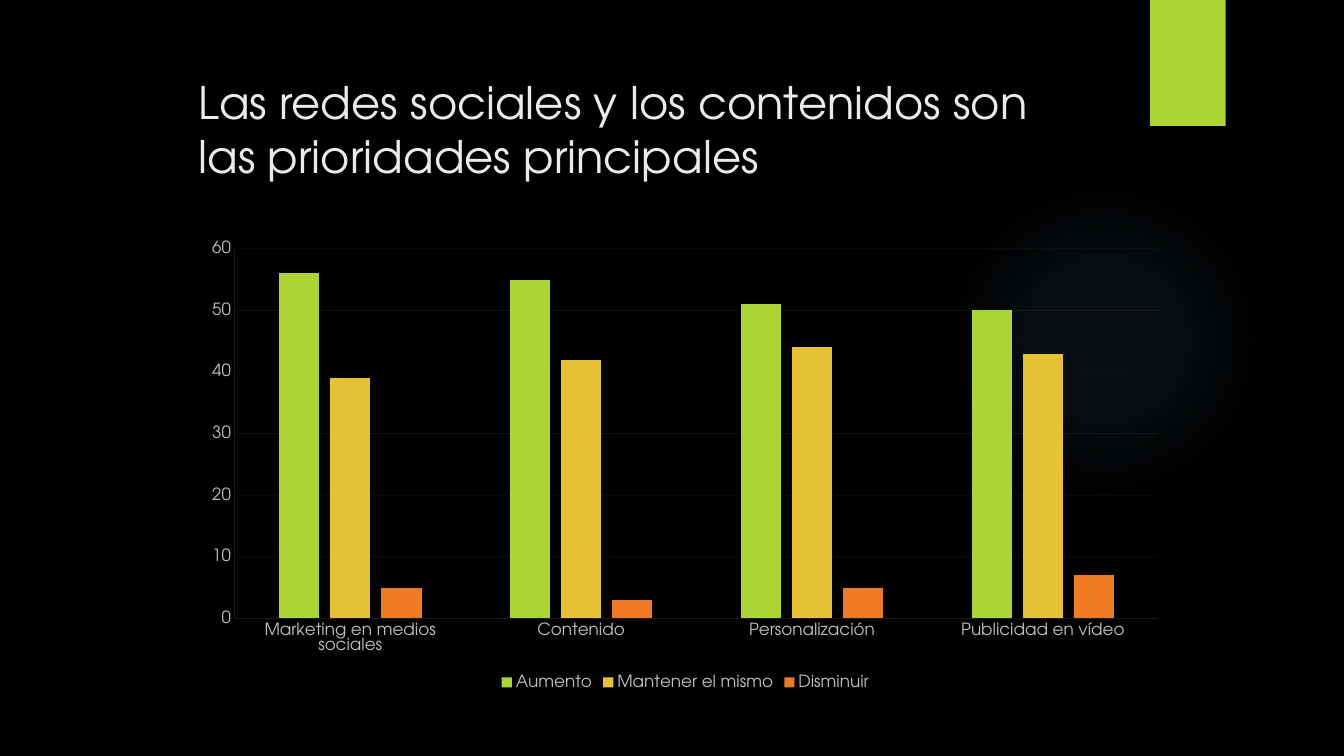
from dataclasses import dataclass

from lxml import etree
from pptx import Presentation
from pptx import util as u
from pptx.chart import data
from pptx.dml.color import RGBColor
from pptx.enum import chart as ch, shapes, text
from pptx.oxml import parse_xml
from pptx.oxml.ns import nsdecls, qn

Pt = u.Pt


@dataclass(frozen=True)
class Theme:
    font: str = "TeX Gyre Adventor"
    background: str = "000000"
    title: str = "EBEBEB"
    label: str = "BFBFBF"
    chart_text: str = "FFFFFF"
    rule: str = "EEF6D6"
    glow: str = "7AC4F0"
    accent: str = "ACD433"
    series: tuple = ("ACD433", "E6C133", "EF7A24")
    title_size: float = 32
    label_size: float = 12
    chart_size: float = 10
    rule_width: float = 0.25


THEME = Theme()
CATEGORIES = ("Marketing en medios sociales", "Contenido",
              "Personalización", "Publicidad en vídeo")
SERIES = {
    "Aumento": (56, 55, 51, 50),
    "Mantener el mismo": (39, 42, 44, 43),
    "Disminuir": (5, 3, 5, 7),
}


def set_font(font, size, color):
    font.name = THEME.font
    font.size = Pt(size)
    font.color.rgb = RGBColor.from_string(color)


def set_fill(fill, color):
    fill.solid()
    fill.fore_color.rgb = RGBColor.from_string(color)


def add_plain_shape(s, kind, box):
    sp = s.shapes.add_shape(kind, *map(Pt, box))
    sp.shadow.inherit = False
    sp.line.fill.background()
    return sp


def add_decoration(s, box):
    """Soft glow and the accent tab hanging from the top edge."""
    x, y, w, h = box
    glow = add_plain_shape(s, shapes.MSO_SHAPE.OVAL,
                           (x + w - 282.5, y + 131.75, 221.75, 221.75))
    stops = "".join(
        f'<a:gs pos="{pos * 1000}"><a:srgbClr val="{THEME.glow}">'
        f'<a:alpha val="{alpha * 1000}"/></a:srgbClr></a:gs>'
        for pos, alpha in ((0, 7), (36, 6), (69, 0)))
    gradient = parse_xml(
        f'<a:gradFill {nsdecls("a")} rotWithShape="1"><a:gsLst>{stops}</a:gsLst>'
        '<a:path path="circle"><a:fillToRect l="50000" t="50000" r="50000" b="50000"/>'
        '</a:path></a:gradFill>')
    glow.element.spPr.find(qn("a:prstGeom")).addnext(gradient)

    tab = add_plain_shape(s, shapes.MSO_SHAPE.RECTANGLE, (x + w - 138.5, y, 54, 90))
    set_fill(tab.fill, THEME.accent)


def add_title(s, box, title):
    tf = s.shapes.add_textbox(*map(Pt, box)).text_frame
    tf.word_wrap = True
    tf.vertical_anchor = text.MSO_ANCHOR.TOP
    tf.text = title
    set_font(tf.paragraphs[0].runs[0].font, THEME.title_size, THEME.title)


def style_rule(line, holder, alpha):
    """Thin translucent line; holder is the XML element that owns it."""
    line.width = Pt(THEME.rule_width)
    line.color.rgb = RGBColor.from_string(THEME.rule)
    color = holder.find(f'{qn("c:spPr")}/{qn("a:ln")}//{qn("a:srgbClr")}')
    etree.SubElement(color, qn("a:alpha")).set("val", str(alpha * 1000))


def add_priorities_chart(s, box):
    cd = data.CategoryChartData(number_format="General")
    cd.categories = CATEGORIES
    for name, values in SERIES.items():
        cd.add_series(name, values)
    chart = s.shapes.add_chart(ch.XL_CHART_TYPE.COLUMN_CLUSTERED,
                               *map(Pt, box), cd).chart
    chart.has_title = False
    set_font(chart.font, THEME.chart_size, THEME.chart_text)

    # Columns
    plot = chart.plots[0]
    plot.vary_by_categories = False
    plot.gap_width, plot.overlap = 219, -27
    for series, color in zip(plot.series, THEME.series):
        set_fill(series.format.fill, color)

    # Axes and gridlines
    cat_axis, val_axis = chart.category_axis, chart.value_axis
    for axis, tag, alpha in ((cat_axis, "c:catAx", 25), (val_axis, "c:valAx", 30)):
        axis.major_tick_mark = axis.minor_tick_mark = ch.XL_TICK_MARK.NONE
        set_font(axis.tick_labels.font, THEME.label_size, THEME.label)
        style_rule(axis.format.line, chart.element.find(f".//{qn(tag)}"), alpha)
    val_axis.minimum_scale, val_axis.maximum_scale = 0, 60
    val_axis.major_unit = 10
    val_axis.has_major_gridlines = True
    style_rule(val_axis.major_gridlines.format.line,
               chart.element.find(f'.//{qn("c:majorGridlines")}'), 10)

    # Legend
    chart.has_legend = True
    chart.legend.position = ch.XL_LEGEND_POSITION.BOTTOM
    chart.legend.include_in_layout = False
    set_font(chart.legend.font, THEME.label_size, THEME.label)


def build_chart_slide(prs, box):
    s = prs.slides.add_slide(prs.slide_layouts[6])
    set_fill(s.background.fill, THEME.background)
    x, y, _, _ = box
    add_decoration(s, box)
    add_title(s, (x + 134.75, y + 49.75, 627, 110),
              "Las redes sociales y los contenidos son las prioridades principales")
    add_priorities_chart(s, (x + 137.5, y + 165.5, 704, 330.5))


def main():
    prs = Presentation()
    width, height = 960, 540
    prs.slide_width, prs.slide_height = Pt(width), Pt(height)
    build_chart_slide(prs, (0, 0, width, height))
    prs.save("out.pptx")


if __name__ == "__main__":
    main()
